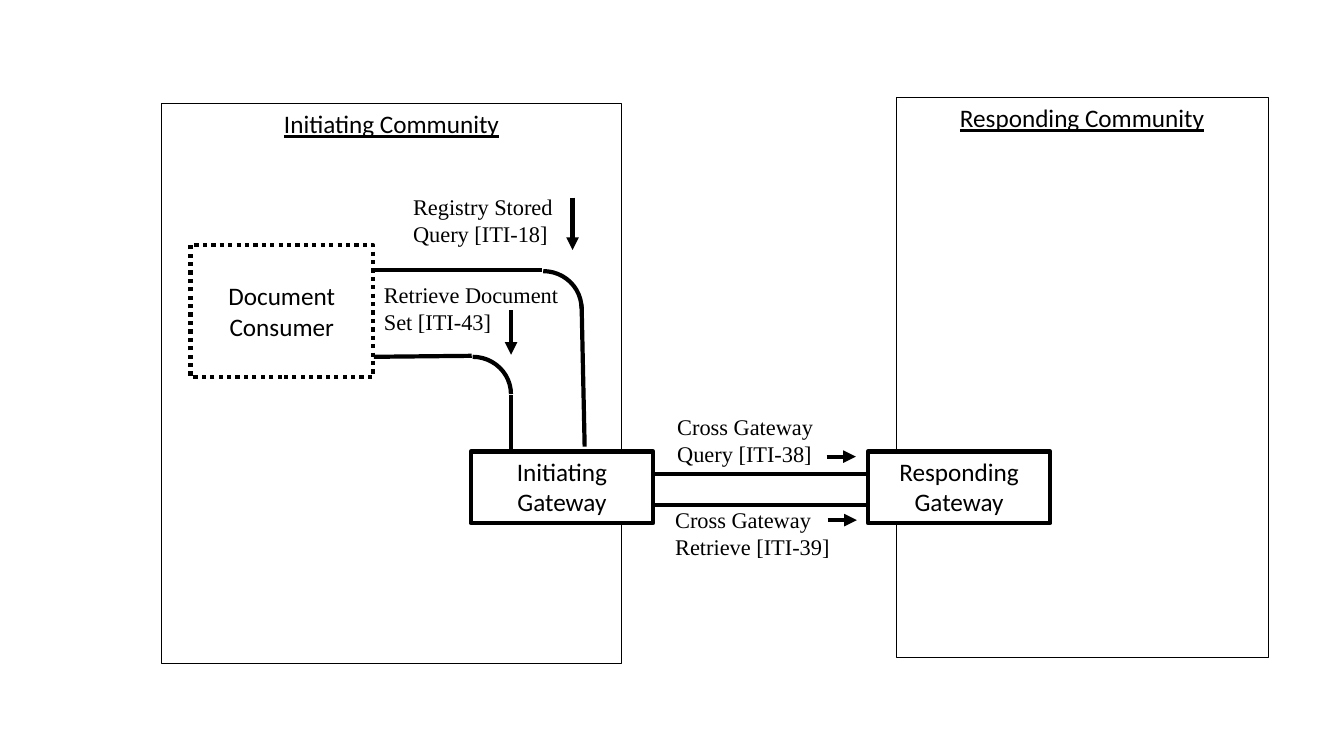
from lxml import etree
from pptx import Presentation
from pptx import util as u
from pptx.dml.color import RGBColor
from pptx.enum import dml, shapes, text
from pptx.oxml.ns import qn

COLUMNS, ROWS = 133.33, 75
COLORS = {"ink": "000000", "paper": "FFFFFF"}
HEAVY, THIN = 3, 0.75


def rgb(name):
    return RGBColor.from_string(COLORS[name])


def write(frame, content, font="Calibri", size=18, color="ink", underline=False,
          align=text.PP_ALIGN.CENTER, anchor=text.MSO_ANCHOR.TOP):
    """Fill a text frame, one paragraph per line of content."""
    frame.word_wrap = True
    frame.vertical_anchor = anchor
    frame.text = content
    for paragraph in frame.paragraphs:
        paragraph.alignment = align
        for run in paragraph.runs:
            run.font.name = font
            run.font.size = u.Pt(size)
            run.font.underline = underline
            run.font.color.rgb = rgb(color)


class Diagram:
    """Draws on one slide; lengths are in grid columns and rows."""

    def __init__(self, deck):
        self.cell_width = deck.slide_width / COLUMNS
        self.cell_height = deck.slide_height / ROWS
        self.slide = deck.slides.add_slide(deck.slide_layouts[6])

    def grid(self, *lengths):
        """Turn alternating columns and rows into slide lengths."""
        cells = (self.cell_width, self.cell_height)
        return [u.Emu(round(n * cells[i % 2])) for i, n in enumerate(lengths)]

    def stroke(self, line, weight):
        line.color.rgb = rgb("ink")
        line.width = u.Pt(weight)

    def outline(self, kind, place, weight=HEAVY, fill=None):
        shape = self.slide.shapes.add_shape(kind, *self.grid(*place))
        shape.shadow.inherit = False
        if fill:
            shape.fill.solid()
            shape.fill.fore_color.rgb = rgb(fill)
        else:
            shape.fill.background()
        self.stroke(shape.line, weight)
        return shape

    def box(self, content, *place, weight=HEAVY, fill="paper", dash=None, **style):
        shape = self.outline(shapes.MSO_SHAPE.RECTANGLE, place, weight, fill)
        if dash:
            shape.line.dash_style = dash
        write(shape.text_frame, content, **style)

    def community(self, name, *place):
        self.box(name, *place, weight=THIN, fill=None, underline=True)

    def bend(self, left, top):
        self.outline(shapes.MSO_SHAPE.ARC, (left, top, 7.6, 7.4))

    def label(self, content, left, top, width=20.4):
        label = self.slide.shapes.add_textbox(*self.grid(left, top, width, 6.4))
        write(label.text_frame, content, font="Times New Roman", size=16,
              align=text.PP_ALIGN.LEFT)

    def line(self, *ends, arrow=False):
        link = self.slide.shapes.add_connector(
            shapes.MSO_CONNECTOR.STRAIGHT, *self.grid(*ends))
        self.stroke(link.line, HEAVY)
        properties = link._element.spPr
        if arrow:
            etree.SubElement(properties.find(qn("a:ln")), qn("a:tailEnd"), type="triangle")
        etree.SubElement(properties, qn("a:effectLst"))


def main():
    deck = Presentation()
    deck.slide_width, deck.slide_height = u.Inches(13.333), u.Inches(7.5)
    diagram = Diagram(deck)

    diagram.community("Initiating Community", 16, 10.3, 45.7, 55.5)
    diagram.community("Responding Community", 88.9, 9.7, 36.9, 55.5)
    for role, left in (("Initiating", 46.7), ("Responding", 86.1)):
        diagram.box(f"{role}\nGateway", left, 44.8, 18.1, 7.1)
    diagram.box("Document Consumer", 18.9, 24.3, 18.1, 13.1,
                dash=dml.MSO_LINE.ROUND_DOT, anchor=text.MSO_ANCHOR.MIDDLE)

    # Between the gateways
    diagram.line(64.8, 47, 86.1, 47)
    diagram.line(64.8, 50.1, 85.9, 50.1)
    diagram.label("Cross Gateway Query [ITI-38]", 66.2, 40.5)
    diagram.label("Cross Gateway Retrieve [ITI-39]", 66, 49.7)
    diagram.line(82, 45.3, 84.9, 45.3, arrow=True)
    diagram.line(82.1, 51.6, 85, 51.6, arrow=True)

    # From the consumer to its gateway
    diagram.label("Registry Stored Query [ITI-18]", 40, 18.7)
    diagram.label("Retrieve Document Set [ITI-43]", 37.1, 27.4, width=21.5)
    diagram.line(56.8, 19.6, 56.8, 24.8, arrow=True)
    diagram.line(50.7, 30.8, 50.7, 35.2, arrow=True)
    diagram.line(37.1, 26.8, 53.8, 26.8)
    diagram.bend(50.1, 26.9)
    diagram.line(58, 44.3, 57.7, 30.2)
    diagram.line(37.1, 35.4, 46.8, 35.3)
    diagram.bend(43.1, 35.4)
    diagram.line(50.7, 44.6, 50.7, 39.2)

    deck.save("out.pptx")


if __name__ == "__main__":
    main()
